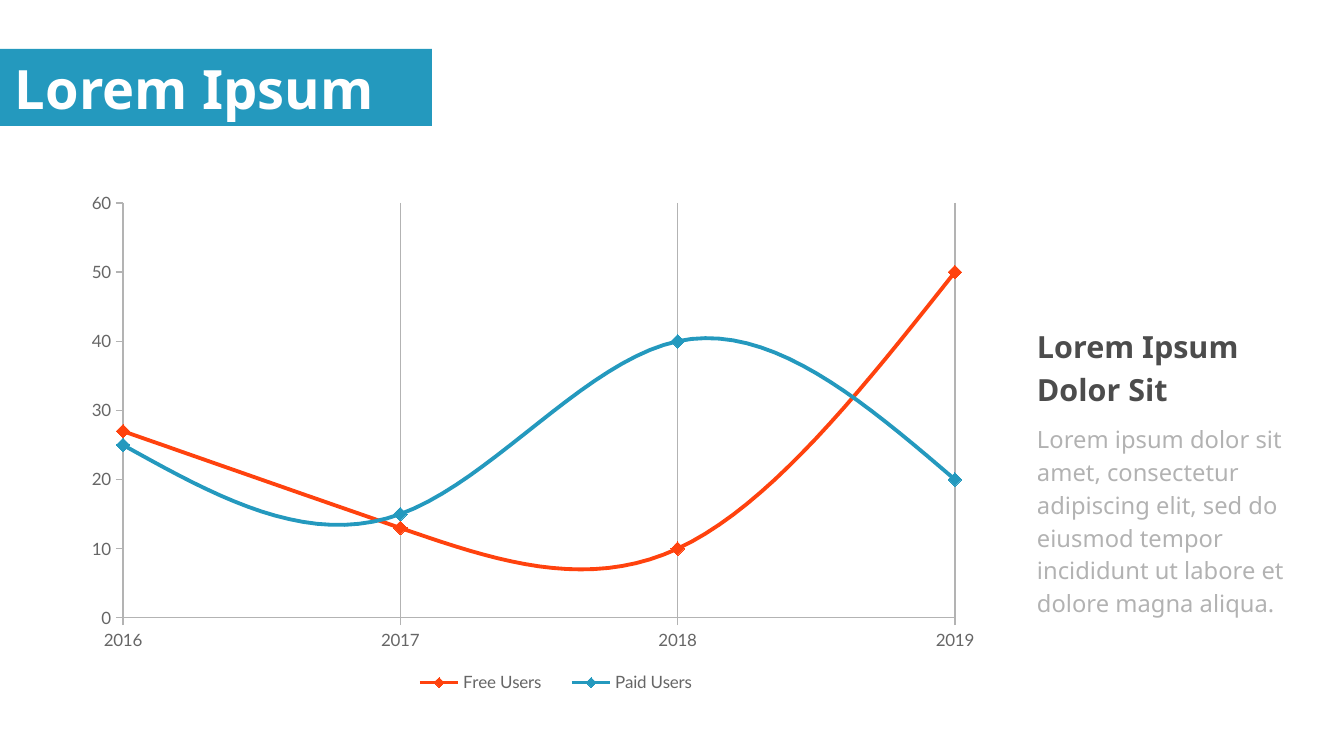
from lxml import etree
from pptx import Presentation
from pptx import util as u
from pptx.chart.data import CategoryChartData
from pptx.dml.color import RGBColor
from pptx.enum import chart as ch, shapes, text
from pptx.oxml.ns import qn

TITLE = "Lorem Ipsum"
HEADING = "Lorem Ipsum Dolor Sit"
BODY = ("Lorem ipsum dolor sit amet, consectetur adipiscing elit, sed do "
        "eiusmod tempor incididunt ut labore et dolore magna aliqua.")
YEARS = ["2016", "2017", "2018", "2019"]

WHITE = RGBColor(0xFF, 0xFF, 0xFF)
BLACK = RGBColor(0x00, 0x00, 0x00)
BLUE = RGBColor(0x24, 0x99, 0xBE)
ORANGE = RGBColor(0xFF, 0x42, 0x0E)
DARK = RGBColor(0x4C, 0x4C, 0x4C)
LABEL = RGBColor(0x66, 0x66, 0x66)
RULE = RGBColor(0xB3, 0xB3, 0xB3)

USERS = [
    ("Free Users", [27, 13, 10, 50], ORANGE),
    ("Paid Users", [25, 15, 40, 20], BLUE),
]

SLIDE = (1344, 756)
BANNER = (0, 49, 432, 77)
TITLE_BOX = (15, 51, 409, 74)
CHART = (73, 183, 920, 517)
PLOT = (123, 203, 832, 415)
LEGEND = (395, 672, 322, 28)
HEADING_BOX = (1025, 317, 256, 107)
BODY_BOX = (1025, 415, 296, 264)
EMU_PER_PX = 914400 / 122


def px(*lengths):
    return [u.Emu(round(n * EMU_PER_PX)) for n in lengths]


def style(font, size, color, name="Noto Sans", bold=False):
    font.size = u.Pt(size)
    font.name = name
    font.bold = bold
    font.color.rgb = color


def add_copy(slide, box, words, size, color, bold=False):
    frame = slide.shapes.add_textbox(*px(*box)).text_frame
    frame.word_wrap = True
    frame.text = words
    paragraph = frame.paragraphs[0]
    paragraph.line_spacing = 1.15
    run = paragraph.runs[0]
    style(run.font, size, color, bold=bold)
    return run


def place(part, box, index, inner=False):
    for old in part.findall(qn("c:layout")):
        part.remove(old)
    layout = etree.Element(qn("c:layout"))
    part.insert(index, layout)
    manual = etree.SubElement(layout, qn("c:manualLayout"))
    left, top, width, height = CHART
    x, y, w, h = box
    settings = [("layoutTarget", "inner")] if inner else []
    settings += [("xMode", "edge"), ("yMode", "edge"),
                 ("x", (x - left) / width), ("y", (y - top) / height),
                 ("w", w / width), ("h", h / height)]
    for tag, value in settings:
        etree.SubElement(manual, qn("c:" + tag)).set("val", str(value))


def start_on_axis(axis):
    for old in axis.findall(qn("c:crossBetween")):
        axis.remove(old)
    crossing = etree.Element(qn("c:crossBetween"))
    crossing.set("val", "midCat")
    axis.find(qn("c:crosses")).addnext(crossing)


def add_users_chart(slide):
    data = CategoryChartData()
    data.categories = YEARS
    for name, values, _ in USERS:
        data.add_series(name, values)
    chart = slide.shapes.add_chart(
        ch.XL_CHART_TYPE.LINE_MARKERS, *px(*CHART), data).chart
    chart.has_title = False
    style(chart.font, 10, LABEL, "Lato")

    years, counts = chart.category_axis, chart.value_axis
    for axis in (years, counts):
        axis.major_tick_mark = ch.XL_TICK_MARK.OUTSIDE
        axis.minor_tick_mark = ch.XL_TICK_MARK.NONE
        axis.format.line.color.rgb = RULE
        axis.format.line.width = u.Pt(0)
        style(axis.tick_labels.font, 10, LABEL, "Lato")
    years.has_major_gridlines = True
    years.major_gridlines.format.line.color.rgb = RULE
    years.major_gridlines.format.line.width = u.Pt(0)
    counts.has_major_gridlines = False
    counts.minimum_scale, counts.maximum_scale, counts.major_unit = 0, 60, 10
    start_on_axis(counts._element)

    plot = chart.plots[0]
    plot.vary_by_categories = False
    for series, (_, _, color) in zip(plot.series, USERS):
        series.smooth = True
        series.format.line.color.rgb = color
        series.format.line.width = u.Pt(2.27)
        marker = series.marker
        marker.style = ch.XL_MARKER_STYLE.DIAMOND
        marker.size = 8
        marker.format.fill.solid()
        marker.format.fill.fore_color.rgb = color
        marker.format.line.color.rgb = color

    chart.has_legend = True
    legend = chart.legend
    legend.position = ch.XL_LEGEND_POSITION.BOTTOM
    legend.include_in_layout = False
    style(legend.font, 10, LABEL, "Lato")
    place(chart._chartSpace.chart.plotArea, PLOT, 0, inner=True)
    place(legend._element, LEGEND, 1)


def main():
    deck = Presentation()
    deck.slide_width, deck.slide_height = px(*SLIDE)
    slide = deck.slides.add_slide(deck.slide_layouts[5])

    banner = slide.shapes.add_shape(
        shapes.MSO_SHAPE.RECTANGLE, *px(*BANNER))
    banner.shadow.inherit = False
    banner.fill.solid()
    banner.fill.fore_color.rgb = BLUE
    banner.line.fill.background()

    add_copy(slide, HEADING_BOX, HEADING, 18, DARK, bold=True)
    body = add_copy(slide, BODY_BOX, BODY, 14, BLACK)
    ink = body._r.find(".//" + qn("a:srgbClr"))
    etree.SubElement(ink, qn("a:alpha")).set("val", "30000")
    add_users_chart(slide)

    title = slide.shapes.title
    title.left, title.top, title.width, title.height = px(*TITLE_BOX)
    frame = title.text_frame
    frame.text = TITLE
    frame.margin_left = frame.margin_right = 0
    frame.margin_top = frame.margin_bottom = 0
    frame.vertical_anchor = text.MSO_ANCHOR.MIDDLE
    frame.auto_size = text.MSO_AUTO_SIZE.NONE
    frame.paragraphs[0].alignment = text.PP_ALIGN.LEFT
    style(frame.paragraphs[0].runs[0].font, 32, WHITE, bold=True)
    slide.shapes._spTree.append(title._element)

    deck.save("out.pptx")


if __name__ == "__main__":
    main()
